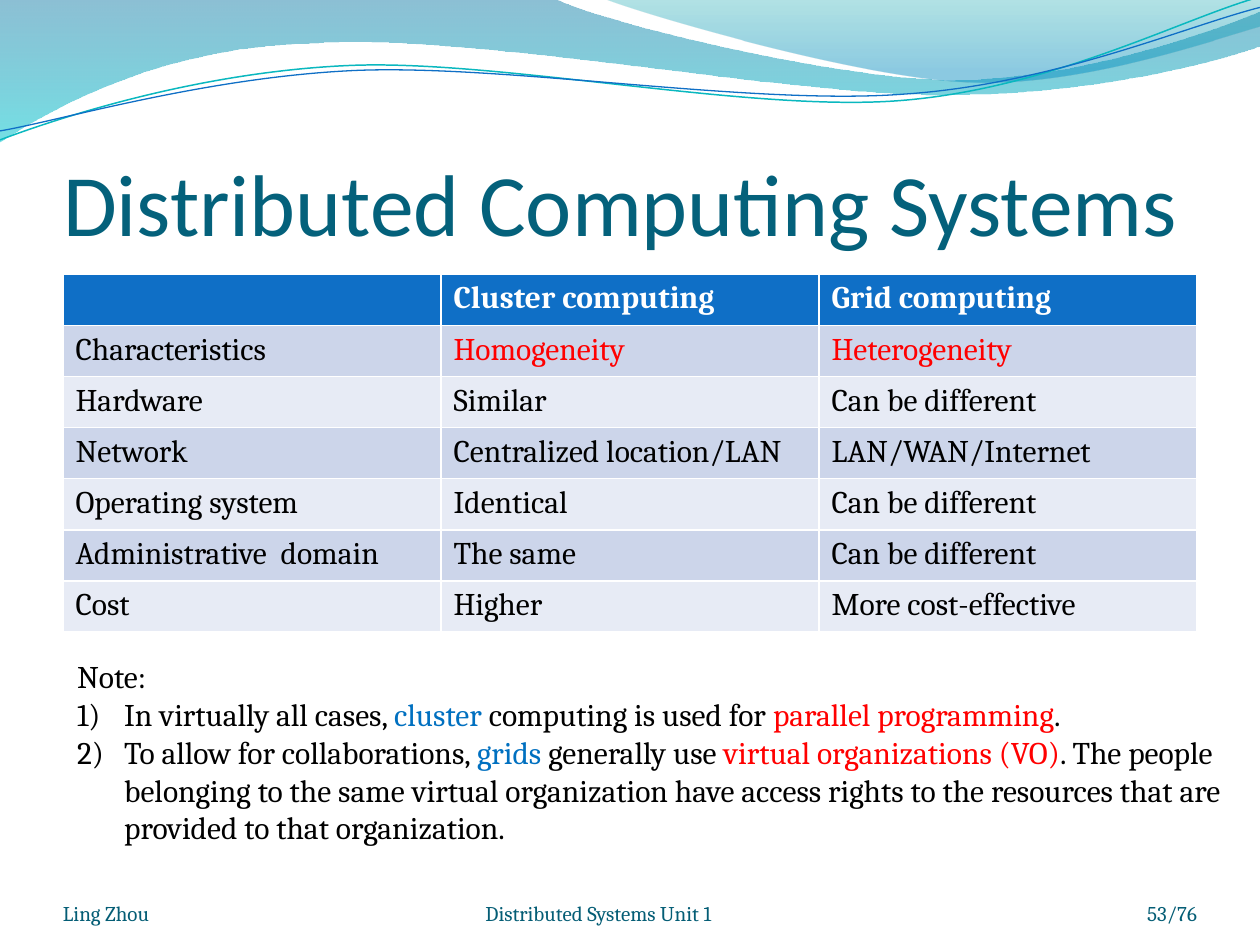
from math import cos, radians, sin

from lxml import etree
from pptx import Presentation
from pptx.dml.color import RGBColor
from pptx.enum.text import MSO_ANCHOR, MSO_AUTO_SIZE, PP_ALIGN
from pptx.oxml.ns import qn
from pptx.util import Cm, Pt

LEFT, MID, RIGHT = PP_ALIGN.LEFT, PP_ALIGN.CENTER, PP_ALIGN.RIGHT
TOP, BOTTOM = MSO_ANCHOR.TOP, MSO_ANCHOR.BOTTOM
FIXED = MSO_AUTO_SIZE.NONE
TILT = 2.7
BLACK, WHITE, RED, BLUE = "000000", "FFFFFF", "FF0000", "0070C0"

BAND = [(0, 0), (11.18, -0.03),
        (12.09, 0.43, 16.87, 1.6, 19.25, 1.6),
        (21.67, 1.6, 24.33, 0.66, 25.4, 0.23), (25.43, 0.91),
        (24.97, 1.12, 22.1, 1.93, 18.95, 1.91),
        (15.8, 1.91, 9.7, 0.71, 6.53, 0.86),
        (3.28, 0.91, 1.17, 2.11, -0.03, 2.87), (0, 0)]
CREST = [(12.17, -0.03), (12.93, 0.28, 17.32, 1.57, 19.53, 1.65),
         (21.74, 1.75, 24.41, 0.81, 25.4, 0.53), (25.4, 0), (12.17, -0.03)]
TEAL = [(0, 2.82), (1.22, 2.36, 4.01, 1.45, 7.04, 1.32),
        (10.03, 1.19, 15.06, 2.26, 18.11, 2.03),
        (21.16, 1.8, 23.83, 0.38, 25.35, -0.05)]
NAVY = [(0, 2.64), (1.19, 2.44, 4.17, 1.55, 7.19, 1.42),
        (10.24, 1.3, 15.16, 2.13, 18.21, 1.9),
        (21.23, 1.7, 23.9, 0.53, 25.4, 0.15)]

ROWS = [
    ("", "Cluster computing", "Grid computing"),
    ("Characteristics", "Homogeneity", "Heterogeneity"),
    ("Hardware", "Similar", "Can be different"),
    ("Network", "Centralized location/LAN", "LAN/WAN/Internet"),
    ("Operating system", "Identical", "Can be different"),
    ("Administrative  domain", "The same", "Can be different"),
    ("Cost", "Higher", "More cost-effective"),
]

NOTES = [
    [("Note:", BLACK)],
    [("In virtually all cases, ", BLACK), ("cluster", BLUE),
     (" computing is used for ", BLACK), ("parallel programming", RED),
     (".", BLACK)],
    [("To allow for collaborations, ", BLACK), ("grids", BLUE),
     (" generally use ", BLACK), ("virtual organizations (VO)", RED),
     (". The people belonging to the same virtual organization have access "
      "rights to the resources that are provided to that organization.",
      BLACK)],
]


def tint(code):
    return RGBColor.from_string(code)


def turn(step, mid):
    c, s = cos(radians(TILT)), sin(radians(TILT))
    spots = []
    for x, y in zip(step[::2], step[1::2]):
        dx, dy = x - mid[0], y - mid[1]
        spots += [mid[0] + dx * c - dy * s, mid[1] + dx * s + dy * c]
    return spots


class Deck:
    font = "Cambria"
    size = 18

    def __init__(self):
        self.prs = Presentation()
        self.prs.slide_width, self.prs.slide_height = Cm(25.4), Cm(19.05)
        self.slide = self.prs.slides.add_slide(self.prs.slide_layouts[1])

    def style(self, run, color, size=None, font=None, bold=False):
        run.font.name = font or self.font
        run.font.size = Pt(size or self.size)
        run.font.bold = bold
        run.font.color.rgb = tint(color)

    def curve(self, path, closed):
        dots = [(Cm(x), Cm(y)) for step in path
                for x, y in zip(step[::2], step[1::2])]
        pen = self.slide.shapes.build_freeform(*dots[0], scale=1.0)
        pen.add_line_segments(dots[1:], close=closed)
        shape = pen.convert_to_shape()
        shape.shadow.inherit = False
        lines = iter(list(shape._element.iter(qn("a:lnTo"))))
        for step in path[1:]:
            first = next(lines)
            if len(step) == 6:
                bend = etree.Element(qn("a:cubicBezTo"))
                first.addprevious(bend)
                for line in (first, next(lines), next(lines)):
                    bend.append(line[0])
                    line.getparent().remove(line)
        return shape

    def wave(self, path, stops):
        shape = self.curve(path, True)
        shape.line.fill.background()
        fill = shape.fill
        fill.gradient()
        fill.gradient_angle = 270
        for stop, (spot, color, _) in zip(fill.gradient_stops, stops):
            stop.position = spot
            stop.color.rgb = tint(color)
        codes = shape._element.spPr.iter(qn("a:srgbClr"))
        for node, (_, _, alpha) in zip(codes, stops):
            etree.SubElement(node, qn("a:alpha"), val=str(alpha * 1000))

    def stroke(self, path, mid, color, width):
        shape = self.curve([turn(step, mid) for step in path], False)
        shape.rotation = 360 - TILT
        shape.fill.background()
        shape.line.color.rgb = tint(color)
        shape.line.width = Pt(width)

    def place(self, shape, box, anchor):
        shape.left, shape.top, shape.width, shape.height = map(Cm, box)
        self.slide.shapes._spTree.append(shape._element)
        frame = shape.text_frame
        frame.word_wrap = True
        frame.auto_size = FIXED
        frame.vertical_anchor = anchor
        return frame

    def title(self, text, box):
        frame = self.place(self.slide.shapes.title, box, BOTTOM)
        frame.margin_left = frame.margin_right = frame.margin_bottom = 0
        frame.text = text
        par = frame.paragraphs[0]
        par.alignment = LEFT
        self.style(par.runs[0], "04617B", 50, "Calibri")

    def list(self, notes, box):
        frame = self.place(self.slide.placeholders[1], box, TOP)
        for i, parts in enumerate(notes):
            par = frame.add_paragraph() if i else frame.paragraphs[0]
            par.space_before = Pt(0)
            props = par._p.get_or_add_pPr()
            hang = Cm(0.95) if i else 0
            props.set("marL", str(hang))
            props.set("indent", str(-hang))
            if i:
                etree.SubElement(props, qn("a:buFont"), typeface="+mj-lt")
                etree.SubElement(props, qn("a:buAutoNum"), type="arabicParenR")
            else:
                etree.SubElement(props, qn("a:buNone"))
            for text, color in parts:
                run = par.add_run()
                run.text = text
                self.style(run, color)

    def label(self, text, box, align):
        shape = self.slide.shapes.add_textbox(*map(Cm, box))
        frame = self.place(shape, box, BOTTOM)
        frame.margin_left = frame.margin_right = 0
        frame.margin_top = frame.margin_bottom = 0
        frame.text = text
        par = frame.paragraphs[0]
        par.alignment = align
        self.style(par.runs[0], "045D75", 12)

    def table(self, rows, box):
        grid = self.slide.shapes.add_table(
            len(rows), len(rows[0]), *map(Cm, box)).table
        for r, row in enumerate(rows):
            back = "0F6FC6" if r == 0 else "CCD5EA" if r % 2 else "E7EBF5"
            for c, text in enumerate(row):
                cell = grid.cell(r, c)
                cell.fill.solid()
                cell.fill.fore_color.rgb = tint(back)
                cell.text = text
                ink = WHITE if r == 0 else RED if r == 1 and c else BLACK
                for run in cell.text_frame.paragraphs[0].runs:
                    self.style(run, ink, bold=r == 0)


def main():
    deck = Deck()
    deck.wave(BAND, [(0, "0074A1", 45), (1, "00C6CF", 55)])
    deck.wave(CREST, [(0, "00A1A9", 30), (0.8, "008BBF", 45)])
    deck.stroke(TEAL, (12.67, 1.46), "0AB8BF", 0.85)
    deck.stroke(NAVY, (12.69, 1.5), "0F6FC6", 0.75)
    deck.title("Distributed Computing Systems", (1.27, 1.96, 22.86, 3.17))
    deck.table(ROWS, (1.27, 5.53, 22.86, 7.21))
    deck.label("Ling Zhou", (1.27, 17.66, 5.92, 1.01), LEFT)
    deck.label("Distributed Systems Unit 1", (7.41, 17.66, 9.31, 1.01), MID)
    deck.list(NOTES, (1.3, 13.12, 23.6, 4.11))
    deck.label("53/76", (22.01, 17.66, 2.12, 1.01), RIGHT)
    deck.prs.save("out.pptx")


if __name__ == "__main__":
    main()
